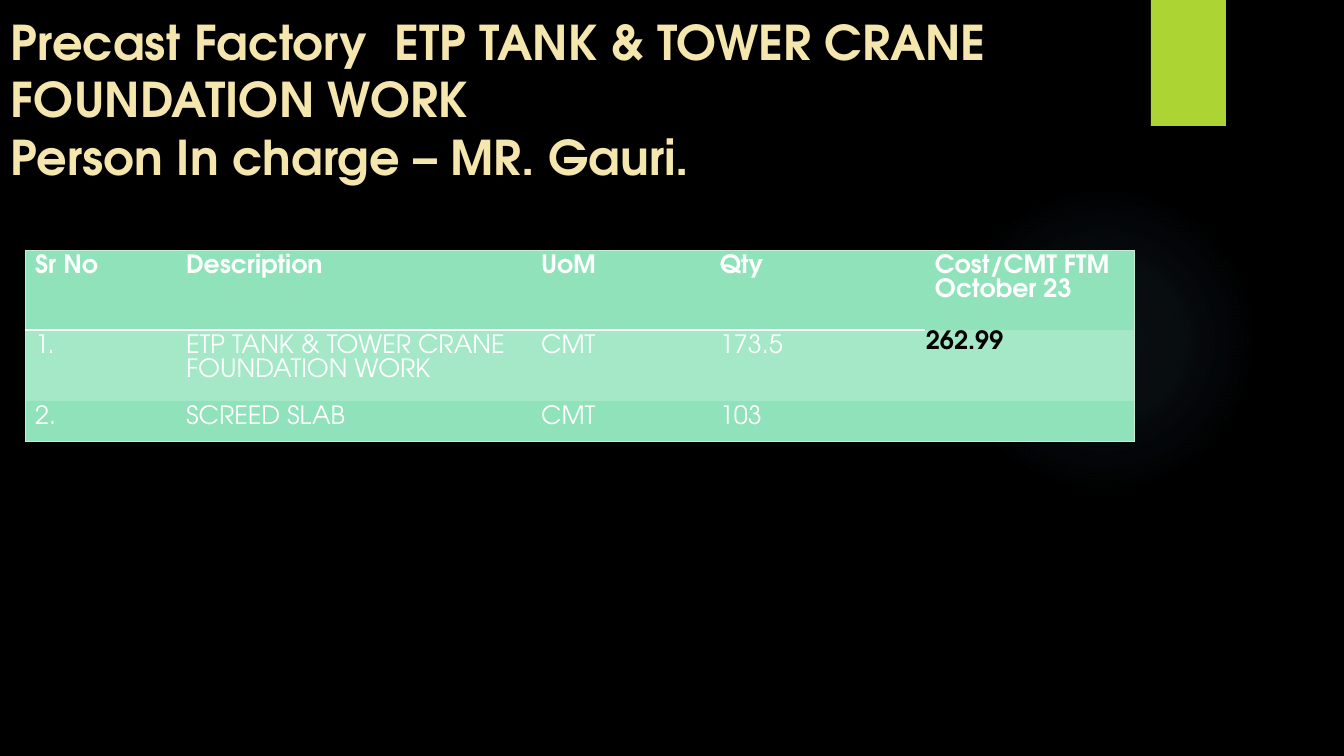
import pptx
import pptx.util
import pptx.dml.color
import pptx.enum.shapes
import pptx.enum.text
import pptx.oxml
import pptx.oxml.ns

EMU_PER_PX = 914400 / 100.8
FONT = "TeX Gyre Adventor"
COLORS = {
    "background": "000000",
    "glow": "7AC4F0",
    "tab": "ACD433",
    "title": "F5E6AD",
    "row": "8FE2BA",
    "light_row": "A5E8C8",
    "frame": "C6ECD6",
    "white": "FFFFFF",
    "black": "000000",
}
COLUMN_WIDTHS = [151, 355, 179, 215, 210]
ROW_HEIGHTS = [80, 57, 41]
WORK_ITEMS = [
    ["Sr No", "Description", "UoM", "Qty", "Cost/CMT FTM October 23"],
    ["1.", "ETP TANK & TOWER CRANE FOUNDATION WORK", "CMT", "173.5", "262.99"],
    ["2.", "SCREED SLAB", "CMT", "103", ""],
]


def px(length):
    return pptx.util.Emu(round(length * EMU_PER_PX))


def rgb(name):
    return pptx.dml.color.RGBColor.from_string(COLORS[name])


def apply(target, values):
    for key, value in values.items():
        setattr(target, key, value)


def style_font(font, size, color, bold):
    apply(font, {"name": FONT, "size": pptx.util.Pt(size), "bold": bold})
    font.color.rgb = rgb(color)


def add_plain_shape(slide, kind, box):
    shape = slide.shapes.add_shape(kind, *map(px, box))
    shape.shadow.inherit = False
    shape.line.fill.background()
    return shape


def add_backdrop(slide, glow_box, tab_box):
    slide.background.fill.solid()
    slide.background.fill.fore_color.rgb = rgb("background")

    # Soft round glow, fading outwards
    glow = add_plain_shape(slide, pptx.enum.shapes.MSO_SHAPE.OVAL, glow_box)
    stops = "".join(
        f'<a:gs pos="{position * 1000}"><a:srgbClr val="{COLORS["glow"]}">'
        f'<a:alpha val="{alpha * 1000}"/></a:srgbClr></a:gs>'
        for position, alpha in [(0, 7), (36, 6), (69, 0), (100, 0)]
    )
    gradient = pptx.oxml.parse_xml(
        f'<a:gradFill {pptx.oxml.ns.nsdecls("a")}><a:gsLst>{stops}</a:gsLst>'
        '<a:path path="circle"><a:fillToRect l="50000" t="50000" r="50000" b="50000"/>'
        '</a:path></a:gradFill>'
    )
    glow.element.spPr.find(pptx.oxml.ns.qn("a:prstGeom")).addnext(gradient)

    # Green tab at the top edge
    tab = add_plain_shape(slide, pptx.enum.shapes.MSO_SHAPE.RECTANGLE, tab_box)
    tab.fill.solid()
    tab.fill.fore_color.rgb = rgb("tab")


def add_title(slide, box):
    frame = slide.shapes.add_textbox(*map(px, box)).text_frame
    apply(frame, {"word_wrap": True, "vertical_anchor": pptx.enum.text.MSO_ANCHOR.BOTTOM})
    heading = frame.paragraphs[0]
    heading.text = ("Precast Factory  ETP TANK & TOWER CRANE FOUNDATION WORK\v"
                    "Person In charge – MR. Gauri.")
    for run in heading.runs:
        style_font(run.font, 34.2, "title", True)


def set_borders(cell, borders):
    """Draw the given sides as (colour, points) and clear the others."""
    properties = cell._tc.get_or_add_tcPr()
    for index, side in enumerate("LRTB"):
        color, points = borders.get(side, (None, 0))
        paint = (f'<a:solidFill><a:srgbClr val="{COLORS[color]}"/></a:solidFill>'
                 if color else "<a:noFill/>")
        properties.insert(index, pptx.oxml.parse_xml(
            f'<a:ln{side} {pptx.oxml.ns.nsdecls("a")} w="{pptx.util.Pt(points)}">'
            f'{paint}</a:ln{side}>'))


def cell_borders(row, column):
    last_row, last_column = len(ROW_HEIGHTS) - 1, len(COLUMN_WIDTHS) - 1
    frame_sides = {"L": column == 0, "R": column == last_column,
                   "T": row == 0, "B": row == last_row}
    borders = {side: ("frame", 0.75) for side, outer in frame_sides.items() if outer}
    # White rule under the header, open above the cost column
    if column < last_column and row < 2:
        borders["B" if row == 0 else "T"] = ("white", 2.25)
    return borders


def add_work_table(slide, left, top):
    table = slide.shapes.add_table(
        len(ROW_HEIGHTS), len(COLUMN_WIDTHS), px(left), px(top),
        px(sum(COLUMN_WIDTHS)), px(sum(ROW_HEIGHTS))).table
    apply(table, {"first_row": False, "horz_banding": False})
    for column, width in zip(table.columns, COLUMN_WIDTHS):
        column.width = px(width)
    for row, height in zip(table.rows, ROW_HEIGHTS):
        row.height = px(height)

    for r, entries in enumerate(WORK_ITEMS):
        for c, entry in enumerate(entries):
            cell = table.cell(r, c)
            cell.fill.solid()
            cell.fill.fore_color.rgb = rgb("light_row" if r == 1 else "row")
            set_borders(cell, cell_borders(r, c))
            is_cost = r == 1 and c == 4
            if is_cost:
                apply(cell, {"margin_left": px(1), "margin_right": px(1),
                             "margin_top": px(1), "margin_bottom": 0})
            if entry:
                run = cell.text_frame.paragraphs[0].add_run()
                run.text = entry
                style_font(run.font, 18, "black" if is_cost else "white", r == 0 or is_cost)


def main():
    deck = pptx.Presentation()
    apply(deck, {"slide_width": px(1344), "slide_height": px(756)})
    slide = deck.slides.add_slide(deck.slide_layouts[6])
    add_backdrop(slide, glow_box=(949, 185, 310, 310), tab_box=(1151, 0, 75, 126))
    add_title(slide, (1, 10, 1074, 180))
    add_work_table(slide, 25, 250)
    deck.save("out.pptx")


if __name__ == "__main__":
    main()
